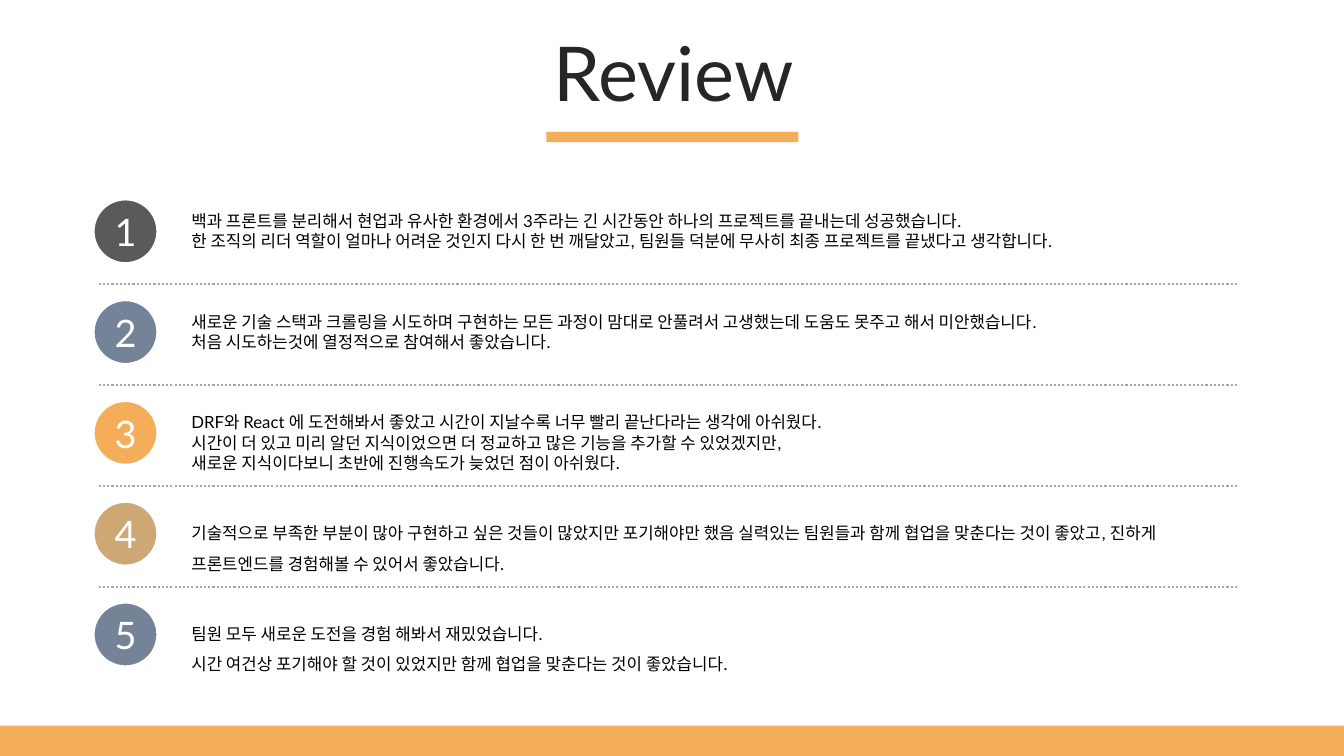
import pptx
import pptx.util
import pptx.dml.color
import pptx.enum.dml
import pptx.enum.shapes
import pptx.enum.text
import pptx.oxml.ns
import lxml.etree
from dataclasses import dataclass

HEADING = "Review"
REVIEWS = [
    ("5A5A5A", 9.74, 0.5, 1.0,
     "백과 프론트를 분리해서 현업과 유사한 환경에서 3주라는 긴 시간동안 하나의 프로젝트를 끝내는데 성공했습니다.\n"
     "한 조직의 리더 역할이 얼마나 어려운 것인지 다시 한 번 깨달았고, 팀원들 덕분에 무사히 최종 프로젝트를 끝냈다고 생각합니다."),
    ("748398", 9.74, 0.5, 1.0,
     "새로운 기술 스택과 크롤링을 시도하며 구현하는 모든 과정이 맘대로 안풀려서 고생했는데 도움도 못주고 해서 미안했습니다. \n"
     "처음 시도하는것에 열정적으로 참여해서 좋았습니다."),
    ("F4AE59", 9.74, 0.71, 1.0,
     "DRF와 React 에 도전해봐서 좋았고 시간이 지날수록 너무 빨리 끝난다라는 생각에 아쉬웠다. \n"
     "시간이 더 있고 미리 알던 지식이었으면 더 정교하고 많은 기능을 추가할 수 있었겠지만, \n"
     "새로운 지식이다보니 초반에 진행속도가 늦었던 점이 아쉬웠다."),
    ("CDA874", 10.36, 0.68, 1.5,
     "기술적으로 부족한 부분이 많아 구현하고 싶은 것들이 많았지만 포기해야만 했음 실력있는 팀원들과 함께 협업을 맞춘다는 것이 좋았고, "
     "진하게 프론트엔드를 경험해볼 수 있어서 좋았습니다."),
    ("748398", 8.2, 0.68, 1.5,
     "팀원 모두 새로운 도전을 경험 해봐서 재밌었습니다. \n"
     "시간 여건상 포기해야 할 것이 있었지만 함께 협업을 맞춘다는 것이 좋았습니다."),
]


@dataclass(frozen=True)
class Theme:
    font: str = "Lato"
    accent: str = "F4AE59"
    heading: str = "262626"
    body: str = "000000"
    light: str = "FFFFFF"
    divider: str = "A6A6A6"
    heading_size: int = 54
    number_size: int = 27
    body_size: int = 12


THEME = Theme()
Inches = pptx.util.Inches
Pt = pptx.util.Pt
Shapes = pptx.enum.shapes.MSO_SHAPE
CENTER = pptx.enum.text.PP_ALIGN.CENTER
LEFT = pptx.enum.text.PP_ALIGN.LEFT
MIDDLE = pptx.enum.text.MSO_ANCHOR.MIDDLE
TOP = pptx.enum.text.MSO_ANCHOR.TOP

ROW_PITCH = 1.0
FIRST_BADGE = 1.98
FIRST_DIVIDER = 2.82
FIRST_REVIEW = 2.04


def rgb(color):
    return pptx.dml.color.RGBColor.from_string(color)


def write(frame, text, size, color, align=LEFT, anchor=TOP, spacing=1.0):
    frame.word_wrap = True
    frame.vertical_anchor = anchor
    paragraph = frame.paragraphs[0]
    paragraph.text = text
    paragraph.alignment = align
    paragraph.line_spacing = spacing
    paragraph.font.name = THEME.font
    paragraph.font.size = Pt(size)
    paragraph.font.color.rgb = rgb(color)
    return paragraph


def add_filled(slide, kind, box, color):
    filled = slide.shapes.add_shape(kind, *map(Inches, box))
    filled.shadow.inherit = False
    filled.fill.solid()
    filled.fill.fore_color.rgb = rgb(color)
    filled.line.fill.background()
    return filled


def add_text(slide, box, *args, **options):
    frame = slide.shapes.add_textbox(*map(Inches, box)).text_frame
    return write(frame, *args, **options)


def add_divider(slide, y):
    divider = slide.shapes.add_connector(
        pptx.enum.shapes.MSO_CONNECTOR.STRAIGHT,
        Inches(0.98), Inches(y), Inches(12.27), Inches(y))
    divider.line.color.rgb = rgb(THEME.divider)
    divider.line.width = Pt(1.5)
    divider.line.dash_style = pptx.enum.dml.MSO_LINE.ROUND_DOT
    lxml.etree.SubElement(divider._element.spPr, pptx.oxml.ns.qn("a:effectLst"))


def add_badge(slide, number, y, color):
    badge = add_filled(slide, Shapes.OVAL, (0.93, y, 0.63, 0.63), color)
    badge.line.color.rgb = rgb(THEME.light)
    badge.line.width = Pt(1.25)
    frame = badge.text_frame
    frame.margin_left = frame.margin_right = frame.margin_top = frame.margin_bottom = 0
    write(frame, str(number), THEME.number_size, THEME.light, CENTER, MIDDLE)


def main():
    deck = pptx.Presentation()
    deck.slide_width, deck.slide_height = Inches(13.33), Inches(7.5)
    slide = deck.slides.add_slide(deck.slide_layouts[6])

    add_filled(slide, Shapes.RECTANGLE, (5.42, 1.31, 2.5, 0.1), THEME.accent)
    add_filled(slide, Shapes.RECTANGLE, (0, 7.2, 13.33, 0.3), THEME.accent)
    heading = add_text(slide, (0.35, 0.37, 12.66, 0.79), HEADING, THEME.heading_size,
                       THEME.heading, CENTER, MIDDLE, spacing=0.9)
    heading.space_before = Pt(10)

    for row, (color, width, height, spacing, review) in enumerate(REVIEWS):
        offset = row * ROW_PITCH
        if row < len(REVIEWS) - 1:
            add_divider(slide, FIRST_DIVIDER + offset)
        add_badge(slide, row + 1, FIRST_BADGE + offset, color)
        add_text(slide, (1.8, FIRST_REVIEW + offset, width, height), review,
                 THEME.body_size, THEME.body, spacing=spacing)

    deck.save("out.pptx")


if __name__ == "__main__":
    main()
